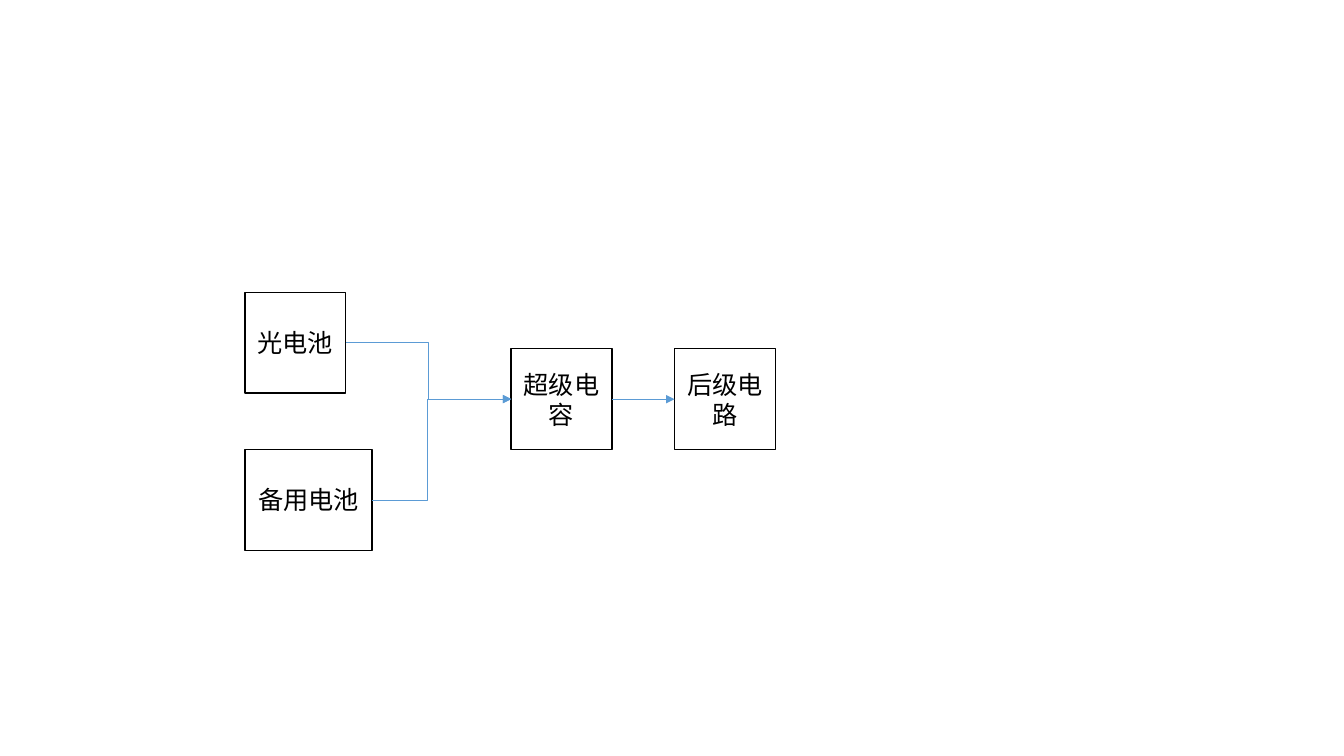
"""Build a slide with the block diagram of a solar power supply."""
import pptx
import pptx.dml.color
import pptx.enum.shapes
import pptx.enum.text
import pptx.oxml
import pptx.oxml.ns
import pptx.util

SLIDE_SIZE = (13.33, 7.5)
FONT = "Noto Sans CJK SC"
COLORS = {"ink": "000000", "arrow": "5B9BD5"}
COLUMNS = {"source": 2.43, "storage": 5.07, "load": 6.69}
ROWS = {"upper": 3.4, "middle": 3.96, "lower": 4.96}
BLOCK_HEIGHT = 1
BLOCKS = [
    ("光电池", "source", "upper", 1),
    ("备用电池", "source", "lower", 1.26),
    ("超级电容", "storage", "middle", 1),
    ("后级电路", "load", "middle", 1),
]
ARROWS = [
    ("光电池", "超级电容", 0.5),
    ("备用电池", "超级电容", 0.4),
    ("超级电容", "后级电路", 0.5),
]
RIGHT, LEFT = 3, 1


def color(name):
    return pptx.dml.color.RGBColor.from_string(COLORS[name])


def add_text(shape, text, size=18, ink="ink", font=FONT):
    frame = shape.text_frame
    frame.word_wrap = True
    frame.vertical_anchor = pptx.enum.text.MSO_ANCHOR.MIDDLE
    paragraph = frame.paragraphs[0]
    paragraph.alignment = pptx.enum.text.PP_ALIGN.CENTER
    run = paragraph.add_run()
    run.text = text
    run.font.size = pptx.util.Pt(size)
    run.font.name = font
    run.font.color.rgb = color(ink)
    east_asian = pptx.oxml.parse_xml(
        f'<a:ea {pptx.oxml.ns.nsdecls("a")} typeface="{font}"/>')
    run.font._element.find(pptx.oxml.ns.qn("a:latin")).addnext(east_asian)


def add_block(slide, text, column, row, width):
    box = (COLUMNS[column], ROWS[row] - BLOCK_HEIGHT / 2, width, BLOCK_HEIGHT)
    shape = slide.shapes.add_shape(
        pptx.enum.shapes.MSO_SHAPE.RECTANGLE, *map(pptx.util.Inches, box))
    shape.shadow.inherit = False
    shape.fill.background()
    shape.line.color.rgb = color("ink")
    shape.line.width = pptx.util.Pt(1)
    add_text(shape, text)
    return shape


def add_arrow(slide, start, end, bend):
    connector = slide.shapes.add_connector(
        pptx.enum.shapes.MSO_CONNECTOR.ELBOW, 0, 0, 0, 0)
    connector.begin_connect(start, RIGHT)
    connector.end_connect(end, LEFT)
    connector.line.color.rgb = color("arrow")
    connector.line.width = pptx.util.Pt(0.5)
    namespace = pptx.oxml.ns.nsdecls("a")
    connector.line._get_or_add_ln().append(
        pptx.oxml.parse_xml(f'<a:tailEnd {namespace} type="triangle"/>'))
    properties = connector._element.spPr
    properties.append(pptx.oxml.parse_xml(f"<a:effectLst {namespace}/>"))
    geometry = properties.find(pptx.oxml.ns.qn("a:prstGeom"))
    guides = geometry.find(pptx.oxml.ns.qn("a:avLst"))
    guides.append(pptx.oxml.parse_xml(
        f'<a:gd {namespace} name="adj1" fmla="val {round(bend * 100000)}"/>'))


def main():
    presentation = pptx.Presentation()
    presentation.slide_width, presentation.slide_height = map(
        pptx.util.Inches, SLIDE_SIZE)
    slide = presentation.slides.add_slide(presentation.slide_layouts[6])
    blocks = {block[0]: add_block(slide, *block) for block in BLOCKS}
    for start, end, bend in ARROWS:
        add_arrow(slide, blocks[start], blocks[end], bend)
    presentation.save("out.pptx")


if __name__ == "__main__":
    main()
